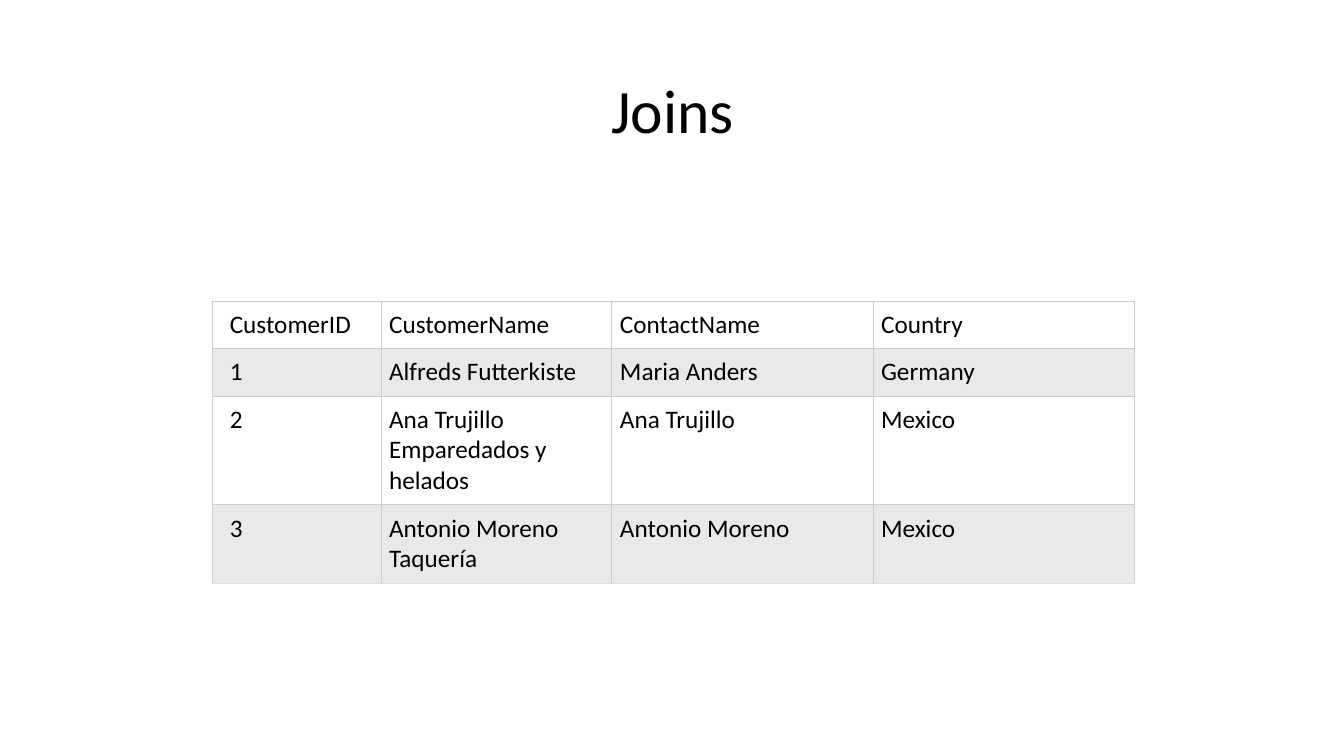
from lxml.etree import SubElement
from pptx import Presentation
from pptx.dml.color import RGBColor
from pptx.enum.text import MSO_ANCHOR, PP_ALIGN
from pptx.oxml.ns import qn
from pptx.util import Inches, Pt

COLORS = {"text": "000000", "plain": "FFFFFF", "band": "E7E9EB",
          "border": "CCCCCC", "last_border": "DDDDDD"}
FONT = "Calibri"
SLIDE_WIDTH, SLIDE_HEIGHT = 13.33, 7.5
COLUMN_WIDTHS = [1.67, 2.29, 2.59, 2.59]
ROW_HEIGHTS = [0.47, 0.47, 1.08, 0.78]
CUSTOMERS = [
    ["CustomerID", "CustomerName", "ContactName", "Country"],
    ["1", "Alfreds Futterkiste", "Maria Anders", "Germany"],
    ["2", "Ana Trujillo Emparedados y helados", "Ana Trujillo", "Mexico"],
    ["3", "Antonio Moreno Taquería", "Antonio Moreno", "Mexico"],
]


def color(name):
    return RGBColor.from_string(COLORS[name])


def style_paragraph(para, size):
    para.font.name = FONT
    para.font.size = Pt(size)
    para.font.color.rgb = color("text")


def add_title(page, text, left, top, width, height):
    title = page.shapes.title
    title.left, title.top = Inches(left), Inches(top)
    title.width, title.height = Inches(width), Inches(height)
    title.text_frame.text = text
    title.text_frame.vertical_anchor = MSO_ANCHOR.MIDDLE
    para = title.text_frame.paragraphs[0]
    para.alignment = PP_ALIGN.CENTER
    para.line_spacing = 0.9
    style_paragraph(para, 44)


def set_borders(cell, bottom):
    # Border lines must come before the fill in the cell properties
    properties = cell._tc.get_or_add_tcPr()
    sides = {"L": "border", "R": "border", "T": "border", "B": bottom}
    for side, name in sides.items():
        line = SubElement(properties, qn(f"a:ln{side}"), w=str(Pt(0.75)))
        fill = SubElement(line, qn("a:solidFill"))
        SubElement(fill, qn("a:srgbClr"), val=COLORS[name])


def add_customer_table(page, rows, left, top):
    frame = page.shapes.add_table(
        len(rows), len(COLUMN_WIDTHS), Inches(left), Inches(top),
        Inches(sum(COLUMN_WIDTHS)), Inches(sum(ROW_HEIGHTS)))
    table = frame.table
    table.first_row = table.horz_banding = False
    for column, width in zip(table.columns, COLUMN_WIDTHS):
        column.width = Inches(width)
    for row, height in zip(table.rows, ROW_HEIGHTS):
        row.height = Inches(height)

    # Cells: wider inset in the first column, every second row banded
    for r, values in enumerate(rows):
        for c, value in enumerate(values):
            cell = table.cell(r, c)
            cell.text = value
            cell.margin_left = Inches(0.17 if c == 0 else 0.08)
            cell.margin_right = cell.margin_top = cell.margin_bottom = Inches(0.08)
            style_paragraph(cell.text_frame.paragraphs[0], 18)
            set_borders(cell, "last_border" if r == len(rows) - 1 else "border")
            cell.fill.solid()
            cell.fill.fore_color.rgb = color("band" if r % 2 else "plain")


def main():
    deck = Presentation()
    deck.slide_width, deck.slide_height = Inches(SLIDE_WIDTH), Inches(SLIDE_HEIGHT)
    page = deck.slides.add_slide(deck.slide_layouts.get_by_name("Title Only"))
    add_title(page, "Joins", 0.92, 0.4, 11.5, 1.45)
    add_customer_table(page, CUSTOMERS, 2.11, 2.99)
    deck.save("out.pptx")


if __name__ == "__main__":
    main()
